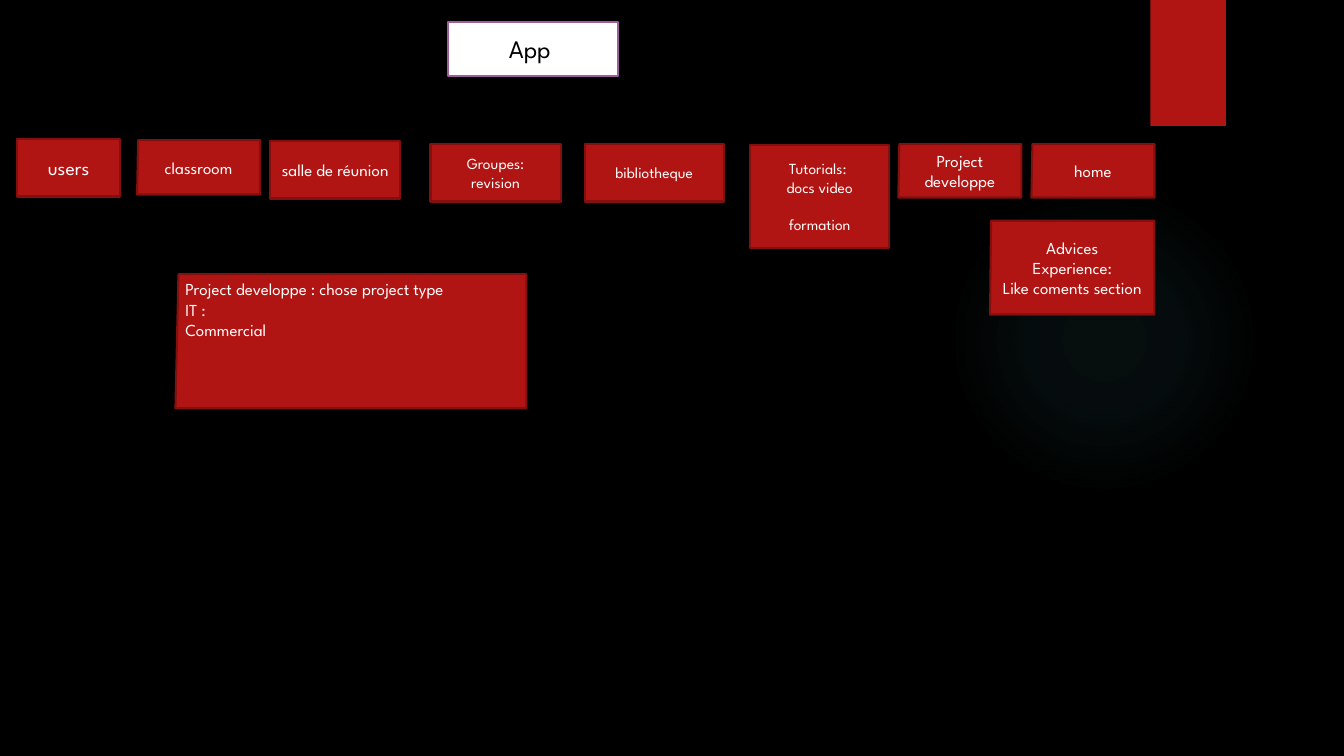
from lxml import etree
from pptx import Presentation
from pptx import util as u
from pptx.dml.color import RGBColor
from pptx.enum import shapes, text
from pptx.oxml.ns import nsdecls

FONT = "League Spartan"
RED, EDGE, WHITE, BLACK = "B01513", "82100E", "FFFFFF", "000000"
LEFT, MID = text.PP_ALIGN.LEFT, text.PP_ALIGN.CENTER
RECT, OVAL = shapes.MSO_SHAPE.RECTANGLE, shapes.MSO_SHAPE.OVAL

# Words, left, top, width, height, text size, slant of the left edge
MENU = [
    ("users", 0.17, 1.38, 1.02, 0.57, 14, 0),
    ("classroom", 1.36, 1.39, 1.22, 0.54, 12, 0.01),
    ("salle de réunion", 2.68, 1.4, 1.29, 0.57, 12, 0),
    ("Groupes:\nrevision", 4.27, 1.43, 1.29, 0.57, 11, 0),
    ("bibliotheque", 5.8, 1.43, 1.38, 0.57, 11, 0),
    ("Tutorials: \ndocs video\nformation", 7.44, 1.44, 1.38, 1.02, 11, 0),
    ("Project developpe", 8.91, 1.43, 1.22, 0.53, 12, 0.01),
    ("home", 10.23, 1.43, 1.22, 0.53, 12, 0.01),
]
TYPES = "Project developpe : chose project type \nIT :\nCommercial"
ADVICE = "Advices\nExperience:\nLike coments section"


def color(code):
    """Turn a hex string into a colour."""
    return RGBColor.from_string(code)


def paint(shape, fill, line=None):
    """Give a shape a flat fill and an optional outline."""
    shape.shadow.inherit = False
    shape.fill.solid()
    shape.fill.fore_color.rgb = color(fill)
    if line:
        shape.line.color.rgb = color(line)
        shape.line.width = u.Pt(1.5)
    else:
        shape.line.fill.background()


def write(shape, words, size, ink=WHITE, align=MID, anchor=text.MSO_ANCHOR.MIDDLE):
    """Fill a shape with text, one paragraph per line."""
    frame = shape.text_frame
    frame.text = words
    frame.word_wrap = True
    frame.auto_size = text.MSO_AUTO_SIZE.NONE
    frame.vertical_anchor = anchor
    for para in frame.paragraphs:
        para.alignment = align
        for run in para.runs:
            run.font.name, run.font.size = FONT, u.Pt(size)
            run.font.color.rgb = color(ink)


def block(slide, box, slant=0):
    """Draw a red box whose left edge may lean by the given slant."""
    x, y, w, h = map(u.Inches, box)
    if slant:
        pen = slide.shapes.build_freeform(x + u.Inches(slant), y)
        pen.add_line_segments([(x + w, y), (x + w, y + h), (x, y + h)], close=True)
        shape = pen.convert_to_shape()
    else:
        shape = slide.shapes.add_shape(RECT, x, y, w, h)
    paint(shape, RED, EDGE)
    return shape


def decor(slide, glow, tab):
    """Draw the faint round glow and the red tab at the top."""
    oval = slide.shapes.add_shape(OVAL, *map(u.Inches, glow))
    paint(oval, BLACK)
    stops = "".join(
        f'<a:gs pos="{pos}000"><a:srgbClr val="50B9C1">'
        f'<a:alpha val="{alpha}000"/></a:srgbClr></a:gs>'
        for pos, alpha in ((0, 7), (36, 6), (69, 0)))
    grad = etree.fromstring(
        f'<a:gradFill {nsdecls("a")}><a:gsLst>{stops}</a:gsLst><a:path path="circle">'
        '<a:fillToRect l="50000" t="50000" r="50000" b="50000"/></a:path></a:gradFill>')
    props = oval.element.spPr
    props.replace(props.find("{*}solidFill"), grad)
    paint(slide.shapes.add_shape(RECT, *map(u.Inches, tab)), RED)


def head(slide, box):
    """Place the title in its white box."""
    title = slide.shapes.title
    title.left, title.top, title.width, title.height = map(u.Inches, box)
    paint(title, WHITE, "9E5E9B")
    write(title, "App ", 18, BLACK)


def menu(slide, items):
    """Draw the row of sections below the title."""
    for words, x, y, w, h, size, slant in items:
        shape = block(slide, (x, y, w, h), slant)
        write(shape, words, size)
        paras = shape.text_frame.paragraphs
        if len(paras) > 2:
            paras[-1].space_before = u.Pt(13.4)


def notes(slide, types, advice):
    """Draw the project types box and the advice box."""
    write(block(slide, types, 0.03), TYPES, 12, align=LEFT, anchor=text.MSO_ANCHOR.TOP)
    write(block(slide, advice, 0.01), ADVICE, 12)


def main():
    """Build and save the deck."""
    deck = Presentation()
    deck.slide_width, deck.slide_height = u.Inches(13.33), u.Inches(7.5)
    slide = deck.slides.add_slide(deck.slide_layouts[5])
    back = slide.background.fill
    back.solid()
    back.fore_color.rgb = color(BLACK)
    decor(slide, (9.41, 1.83, 3.08, 3.08), (11.41, 0, 0.75, 1.25))
    head(slide, (4.44, 0.22, 1.69, 0.53))
    menu(slide, MENU)
    notes(slide, (1.74, 2.72, 3.48, 1.33), (9.82, 2.19, 1.63, 0.93))
    deck.save("out.pptx")


main()
